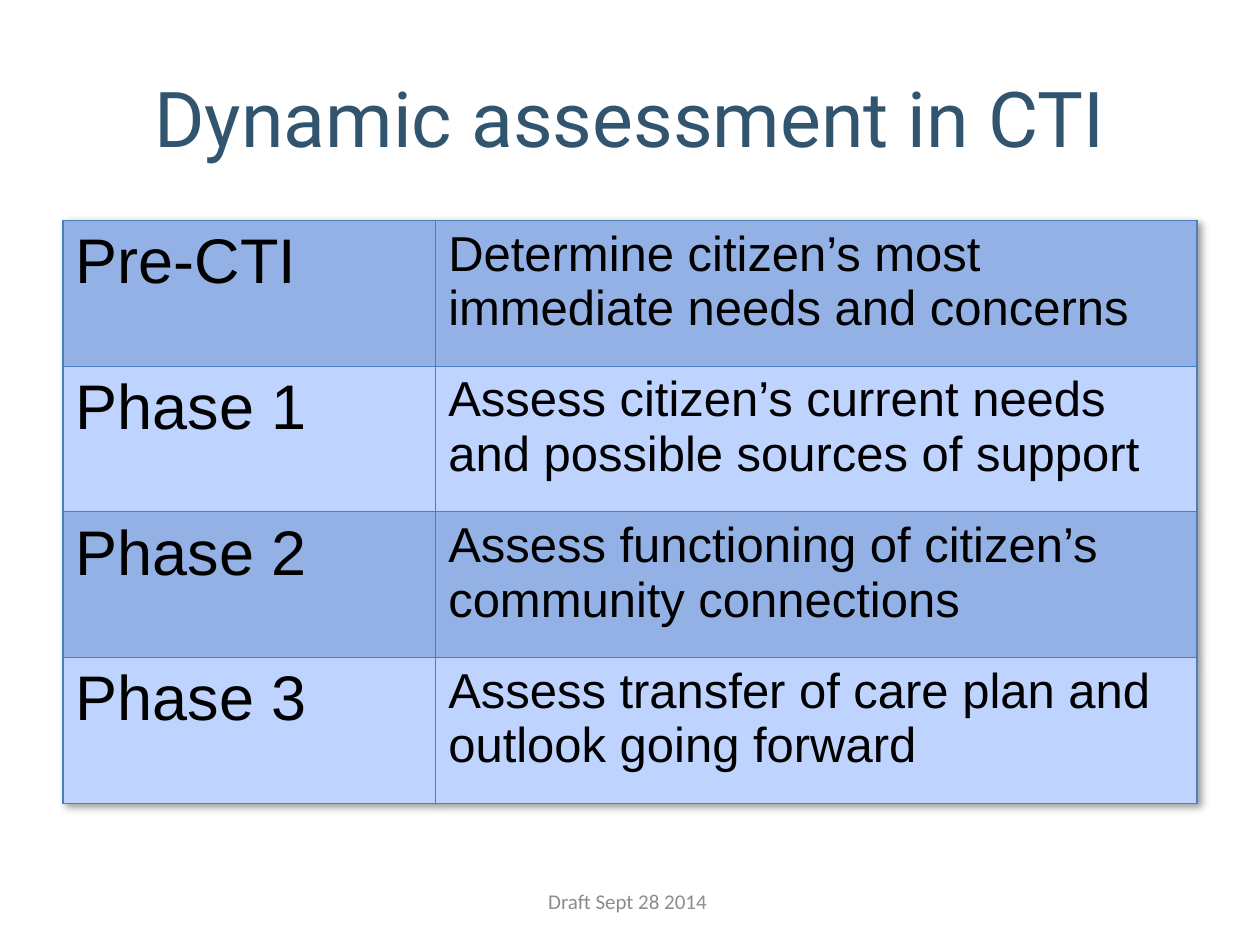
import pptx
import pptx.util
import pptx.dml.color
import pptx.enum.text
import pptx.oxml
import pptx.oxml.ns

Pt = pptx.util.Pt
RGBColor = pptx.dml.color.RGBColor
ALIGN = pptx.enum.text.PP_ALIGN
ANCHOR = pptx.enum.text.MSO_ANCHOR

TITLE_BLUE = RGBColor(0x31, 0x54, 0x6F)
BAND_DARK = RGBColor(0x93, 0xB1, 0xE4)
BAND_LIGHT = RGBColor(0xBF, 0xD3, 0xFF)
BORDER_BLUE = RGBColor(0x4B, 0x7E, 0xBC)
BLACK = RGBColor(0, 0, 0)
FOOTER_GREY = RGBColor(0x8C, 0x8C, 0x8C)

PHASES = [
    ("Pre-CTI", "Determine citizen’s most immediate needs and concerns"),
    ("Phase 1", "Assess citizen’s current needs and possible sources of support"),
    ("Phase 2", "Assess functioning of citizen’s community connections"),
    ("Phase 3", "Assess transfer of care plan and outlook going forward"),
]
COLUMN_WIDTHS = (213, 435)
COLUMN_SIZES = (36, 28)


def add_span(para, text, size, font, color):
    span = para.add_run()
    span.text = text
    span.font.size = Pt(size)
    span.font.name = font
    span.font.color.rgb = color


def add_centred_text(page, box, text, size, font, color):
    frame = page.shapes.add_textbox(*map(Pt, box)).text_frame
    frame.word_wrap = True
    frame.vertical_anchor = ANCHOR.MIDDLE
    para = frame.paragraphs[0]
    para.alignment = ALIGN.CENTER
    add_span(para, text, size, font, color)


def set_borders(cell):
    properties = cell._tc.get_or_add_tcPr()
    for position, side in enumerate(("lnL", "lnR", "lnT", "lnB")):
        line = pptx.oxml.parse_xml(
            f'<a:{side} {pptx.oxml.ns.nsdecls("a")} w="{Pt(0.75)}"><a:solidFill>'
            f'<a:srgbClr val="{BORDER_BLUE}"/></a:solidFill></a:{side}>')
        properties.insert(position, line)


def add_table_shadow(table):
    table._tbl.tblPr.insert(0, pptx.oxml.parse_xml(
        f'<a:effectLst {pptx.oxml.ns.nsdecls("a")}>'
        f'<a:outerShdw blurRad="{Pt(4)}" dist="{Pt(3)}" dir="2700000" algn="tl" rotWithShape="0">'
        '<a:srgbClr val="000000"><a:alpha val="40000"/></a:srgbClr>'
        '</a:outerShdw></a:effectLst>'))


def add_phase_table(page, box):
    table = page.shapes.add_table(len(PHASES), len(COLUMN_WIDTHS), *map(Pt, box)).table
    table.first_row = False
    table.horz_banding = False
    add_table_shadow(table)
    for column, width in zip(table.columns, COLUMN_WIDTHS):
        column.width = Pt(width)
    for index, (row, texts) in enumerate(zip(table.rows, PHASES)):
        row.height = Pt(box[3] / len(PHASES))
        for cell, text, size in zip(row.cells, texts, COLUMN_SIZES):
            cell.fill.solid()
            cell.fill.fore_color.rgb = BAND_LIGHT if index % 2 else BAND_DARK
            set_borders(cell)
            add_span(cell.text_frame.paragraphs[0], text, size, "Arial", BLACK)


deck = pptx.Presentation()
deck.slide_width, deck.slide_height = Pt(720), Pt(540)
page = deck.slides.add_slide(deck.slide_layouts[6])

# Title
add_centred_text(page, (36, 21.6, 648, 90), "Dynamic assessment in CTI", 44, "Roboto", TITLE_BLUE)
# Phases and their assessments
add_phase_table(page, (36, 126, 648, 333))
# Footer
add_centred_text(page, (246, 500.5, 228, 28.75), "Draft Sept 28 2014 ", 12, "Calibri", FOOTER_GREY)

deck.save("out.pptx")
